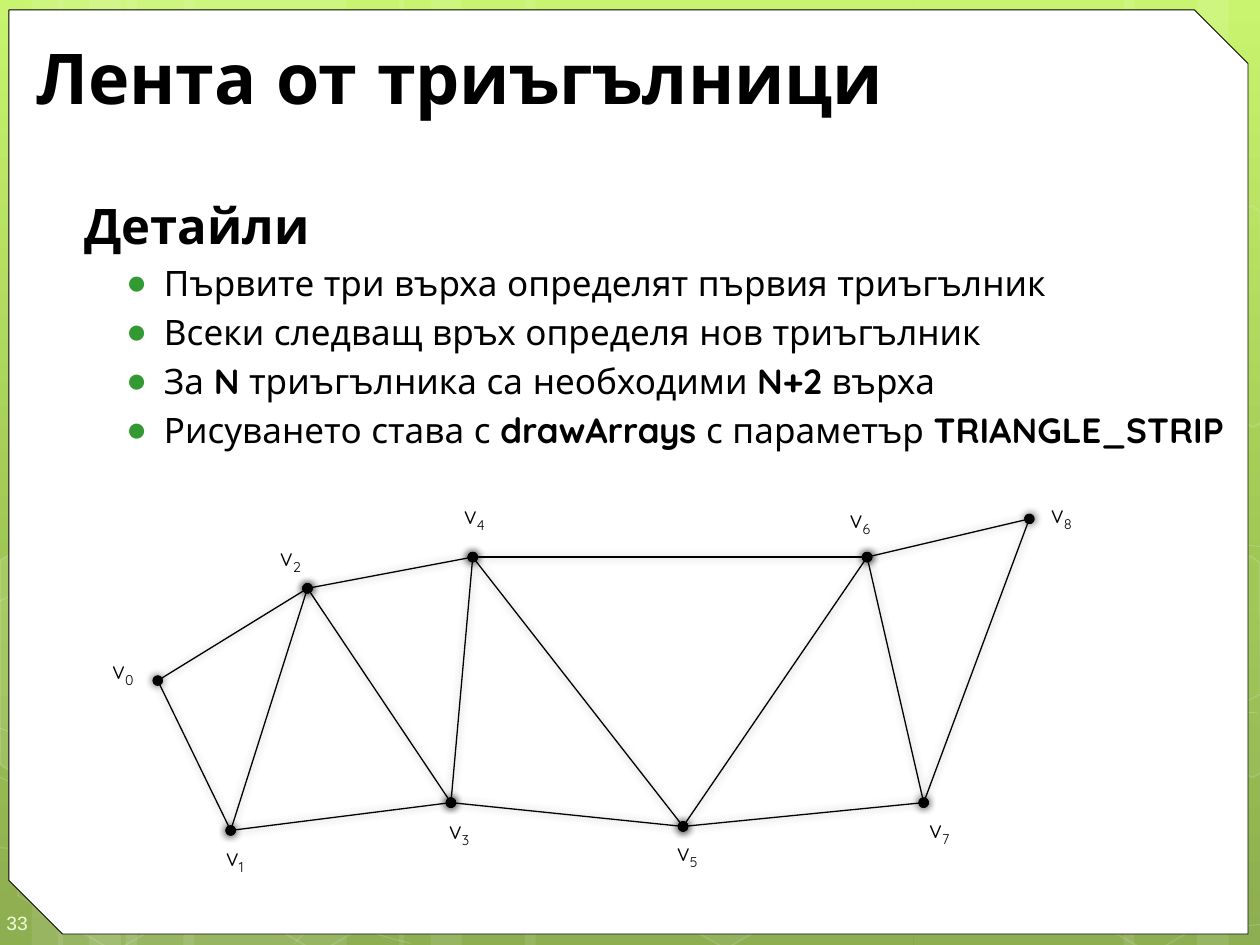
import math
from dataclasses import dataclass

from lxml import etree
from pptx import Presentation
from pptx import util as u
from pptx.dml.color import RGBColor
from pptx.enum import shapes, text
from pptx.oxml import ns


@dataclass(frozen=True)
class Theme:
    ink: str = "000000"
    paper: str = "FFFFFF"
    bullet: str = "339933"
    number: str = "EEFFD6"
    backdrop: tuple = ((0, "C3F35F"), (62, "93BF3F"), (100, "81A53E"))
    font: str = "Quicksand"
    number_font: str = "Arial"
    title_size: int = 40
    heading_size: int = 28
    item_size: int = 20
    label_size: int = 14
    number_size: int = 11


THEME = Theme()
PAGE_BOX = (0, 0, 25.4, 19.05)
TILT = 30

STRIPES = [(2.54, 4.45), (0, 1.27), (0.64, 2.12), (3.7, 4.45), (1.17, 1.27), (1.8, 2.12),
           (18.42, 4.45), (24.13, 1.27), (22.65, 2.12), (10.58, 7.83), (8.04, 1.27), (8.68, 2.12)]
CURVES = [
    [(0, 17.09), (1.35, 17.17), (2.72, 17.25), (4.62, 17.22), (6.53, 17.2), (8.86, 17.15),
     (11.43, 16.89), (13.97, 16.64), (17.58, 16.15), (19.89, 15.67), (22.23, 15.19),
     (24.61, 14.43), (25.4, 14)],
    [(0, 12.12), (0.71, 11.71), (1.42, 11.33), (2.87, 10.95), (4.32, 10.57), (6.35, 10.01),
     (8.61, 9.83), (10.87, 9.65), (13.61, 9.63), (16.41, 9.83), (19.2, 10.03),
     (23.85, 10.82), (25.4, 11.02)],
    [(0, 15.67), (3, 17.07), (6.07, 18.47), (8.28, 19.02)],
    [(0, 14.68), (0.76, 14.96), (1.55, 15.24), (3.05, 15.65), (4.52, 16.03), (6.73, 16.66),
     (8.84, 17.09), (10.97, 17.53), (13.64, 17.98), (15.75, 18.24), (17.83, 18.52),
     (20.09, 18.62), (21.44, 18.69), (22.78, 18.8), (23.14, 18.75), (23.8, 18.75),
     (24.43, 18.72), (24.94, 18.67), (25.4, 18.64)],
    [(5.94, 19.02), (6.4, 18.52), (6.83, 18.01), (7.47, 17.55), (8.08, 17.09), (8.92, 16.59),
     (9.63, 16.23), (10.34, 15.88), (10.77, 15.72), (11.71, 15.47), (12.65, 15.21),
     (14.35, 14.86), (15.24, 14.68), (16.13, 14.5), (16.28, 14.5), (17.07, 14.45),
     (17.86, 14.38), (19.08, 14.3), (19.96, 14.27), (20.83, 14.25), (22.3, 14.27),
     (22.3, 14.27), (22.86, 14.27), (23.42, 14.27), (23.98, 14.27), (24.46, 14.3),
     (24.89, 14.33), (25.1, 14.35), (25.32, 14.38), (25.25, 14.35), (25.35, 14.38)],
]
HEXAGONS = [(8.33, 7.95, 10, 12), (10.34, 11.46, 0, 12), (10.36, 4.42, 7, 8), (8.28, 0.91, 4, 8),
            (12.4, 14.96, 6, 12), (0.08, 15.01, 0, 12), (0.15, 7.92, 7, 8), (2.16, 11.46, 0, 12),
            (4.19, 15.04, 0, 12), (4.24, 7.95, 7, 8), (2.21, 4.34, 0, 12), (18.9, 11.51, 10, 12),
            (20.98, 15.06, 0, 12), (20.98, 7.98, 7, 8)]
LEFT_CUT = [(0, 11.3), (0.28, 11.13), (2.21, 12.24), (2.21, 14.48), (0.3, 15.6), (0, 15.42)]
RIGHT_CUT = [(23.32, 12.32), (25.22, 11.2), (25.4, 11.33), (25.43, 15.57), (25.25, 15.67),
             (23.29, 14.55)]
UPPER_CUT = [(x, y - 7.06) for x, y in RIGHT_CUT]

HEADING = "Детайли"
ITEMS = [
    [("Първите три върха определят първия триъгълник", False)],
    [("Всеки следващ връх определя нов триъгълник", False)],
    [("За ", False), ("N", True), (" триъгълника са необходими ", False), ("N+2", True),
     (" върха", False)],
    [("Рисуването става с ", False), ("drawArrays ", True), ("с параметър ", False),
     ("TRIANGLE_STRIP", True)],
]
VERTICES = [(1.58, 3.82), (3.05, 6.84), (4.6, 1.96), (7.49, 6.28), (7.93, 1.33),
            (12.17, 6.76), (15.88, 1.33), (17.02, 6.28), (19.15, 0.56)]
LABELS = [(0, 3.18), (2.26, 6.94), (3.38, 0.9), (6.78, 6.41), (7.09, 0.06),
          (11.38, 6.84), (14.86, 0.13), (16.46, 6.38), (18.92, 0.03)]


def add(parent, tag, **attributes):
    return etree.SubElement(parent, ns.qn(tag), attributes)


def place(shape, box):
    shape.left, shape.top, shape.width, shape.height = map(u.Cm, box)


def paint(shape, alpha, line_width=0, line_alpha=0):
    shape.shadow.inherit = False
    for fill, opacity in ((shape.fill, alpha), (shape.line.fill, line_alpha)):
        if not opacity:
            fill.background()
            continue
        fill.solid()
        fill.fore_color.rgb = RGBColor.from_string(THEME.paper)
        for color in fill._xPr.iterchildren(ns.qn("a:solidFill")):
            add(color[0], "a:alpha", val=str(opacity * 1000))
    if line_width:
        shape.line.width = u.Pt(line_width)


def style(font, size, color=THEME.ink, name=THEME.font, bold=None):
    font.name, font.size, font.bold = name, u.Pt(size), bold
    font.color.rgb = RGBColor.from_string(color)


def add_outline(page, points, closed):
    corners = [(u.Cm(x), u.Cm(y)) for x, y in points]
    outline = page.shapes.build_freeform(*corners[0], scale=1.0)
    outline.add_line_segments(corners[1:], close=closed)
    return outline.convert_to_shape()


def add_curve(page, controls):
    curve = add_outline(page, controls, False)
    lines = list(curve._element.iter(ns.qn("a:lnTo")))
    track = lines[0].getparent()
    for start in range(0, len(lines), 3):
        bend = add(track, "a:cubicBezTo")
        for line in lines[start:start + 3]:
            bend.append(line[0])
            track.remove(line)
    return curve


def add_cut(page, points, center):
    cos, sin = math.cos(math.radians(TILT)), math.sin(math.radians(TILT))
    offsets = [(x - center[0], y - center[1]) for x, y in points]
    upright = [(center[0] + x * cos + y * sin, center[1] - x * sin + y * cos)
               for x, y in offsets]
    cut = add_outline(page, upright, True)
    cut.rotation = TILT
    return cut


def draw_backdrop(page, box):
    left, top, width, height = box
    fill = page.background.fill
    fill.gradient()
    fill.gradient_angle = 270
    stops = page._element.find(".//" + ns.qn("a:gsLst"))
    for stop in list(stops):
        stops.remove(stop)
    for position, color in THEME.backdrop:
        add(add(stops, "a:gs", pos=str(position * 1000)), "a:srgbClr", val=color)

    for x, stripe_width in STRIPES:
        stripe = page.shapes.add_shape(shapes.MSO_SHAPE.RECTANGLE, u.Cm(left + x), u.Cm(top),
                                       u.Cm(stripe_width), u.Cm(height))
        paint(stripe, 10)
    for controls in CURVES:
        paint(add_curve(page, [(left + x, top + y) for x, y in controls]), 0, 0.5, 20)
    for x, y, alpha, line_alpha in HEXAGONS:
        hexagon = page.shapes.add_shape(shapes.MSO_SHAPE.HEXAGON, u.Cm(left + x), u.Cm(top + y),
                                        u.Cm(4.45), u.Cm(3.87))
        hexagon.adjustments[0] = 0.285
        hexagon.rotation = TILT
        paint(hexagon, alpha, 1, line_alpha)
    for corners, (x, y), alpha in ((LEFT_CUT, (0.69, 13.59), 10), (RIGHT_CUT, (24.82, 13.21), 4),
                                   (UPPER_CUT, (24.82, 6.12), 0)):
        points = [(left + px, top + py) for px, py in corners]
        paint(add_cut(page, points, (left + x, top + y)), alpha, 1, 12)

    panel = page.shapes.add_shape(shapes.MSO_SHAPE.SNIP_2_DIAG_RECTANGLE, 0, 0, 0, 0)
    place(panel, (left + 0.18, top + 0.2, width - 0.42, height - 0.42))
    panel.adjustments[0], panel.adjustments[1] = 0, 0.058
    paint(panel, 100, 0.5, 100)
    panel.line.color.rgb = RGBColor.from_string(THEME.ink)


def write_number(page, box, number):
    frame = page.shapes.add_textbox(*map(u.Cm, box)).text_frame
    frame.word_wrap = True
    frame.vertical_anchor = text.MSO_ANCHOR.MIDDLE
    frame.margin_left, frame.margin_top = u.Cm(0.13), u.Cm(0.38)
    frame.margin_right, frame.margin_bottom = 0, u.Cm(0.25)
    para = frame.paragraphs[0]
    para.text = number
    style(para.font, THEME.number_size, THEME.number, THEME.number_font)


def write_title(page, box, words):
    title = page.shapes.title
    page.shapes._spTree.append(title._element)
    place(title, box)
    frame = title.text_frame
    frame.auto_size = text.MSO_AUTO_SIZE.NONE
    frame.vertical_anchor = text.MSO_ANCHOR.MIDDLE
    para = frame.paragraphs[0]
    para.text = words
    para.alignment = text.PP_ALIGN.LEFT
    style(para.font, THEME.title_size, bold=True)


def indent(para, left, first=0):
    properties = para._p.get_or_add_pPr()
    properties.set("marL", str(u.Cm(left)))
    properties.set("indent", str(u.Cm(first)))
    return properties


def write_body(page, box):
    body = page.placeholders[1]
    page.shapes._spTree.append(body._element)
    place(body, box)
    frame = body.text_frame
    frame.auto_size = text.MSO_AUTO_SIZE.NONE
    heading = frame.paragraphs[0]
    heading.text = HEADING
    heading.space_before = u.Pt(0)
    add(indent(heading, 0.18), "a:buNone")
    style(heading.font, THEME.heading_size, bold=True)
    for item in ITEMS:
        para = frame.add_paragraph()
        para.level = 1
        properties = indent(para, 1.78, -0.76)
        add(add(properties, "a:buClr"), "a:srgbClr", val=THEME.bullet)
        add(properties, "a:buFont", typeface=THEME.number_font)
        add(properties, "a:buChar", char="●")
        style(para.font, THEME.item_size)
        for words, bold in item:
            span = para.add_run()
            span.text = words
            span.font.bold = bold


def draw_edge(page, start, end):
    edge = page.shapes.add_connector(shapes.MSO_CONNECTOR.STRAIGHT, *map(u.Cm, start + end))
    edge.line.width = u.Pt(0.75)
    edge.line.color.rgb = RGBColor.from_string(THEME.ink)
    line = edge.line._get_or_add_ln()
    add(line, "a:headEnd", type="oval")
    add(line, "a:tailEnd", type="oval")
    effects = add(edge._element.spPr, "a:effectLst")
    shadow = add(effects, "a:outerShdw", blurRad=str(u.Pt(5)), dist="0", dir="0")
    add(add(shadow, "a:srgbClr", val=THEME.ink), "a:alpha", val="40000")


def draw_strip(page, left, top):
    points = [(left + x, top + y) for x, y in VERTICES]
    for gap in (1, 2):
        for start, end in zip(points, points[gap:]):
            draw_edge(page, start, end)
    for index, (x, y) in enumerate(LABELS):
        label = page.shapes.add_textbox(u.Cm(left + x), u.Cm(top + y), u.Cm(1.57), u.Cm(0.86))
        label.text_frame.word_wrap = True
        para = label.text_frame.paragraphs[0]
        para.alignment = text.PP_ALIGN.CENTER
        indent(para, 0.18)
        style(para.font, THEME.label_size)
        para.add_run().text = "v"
        subscript = para.add_run()
        subscript.text = str(index)
        subscript.font._element.set("baseline", "-25000")


def main():
    deck = Presentation()
    deck.slide_width, deck.slide_height = map(u.Cm, PAGE_BOX[2:])
    page = deck.slides.add_slide(deck.slide_layouts[1])
    draw_backdrop(page, PAGE_BOX)
    write_number(page, (0, 18.03, 1.47, 1.02), "33")
    write_title(page, (0.48, 0.64, 24.05, 1.8), "Лента от триъгълници")
    write_body(page, (1.27, 3.81, 23.93, 15.04))
    draw_strip(page, 1.6, 9.9)
    deck.save("out.pptx")


if __name__ == "__main__":
    main()
